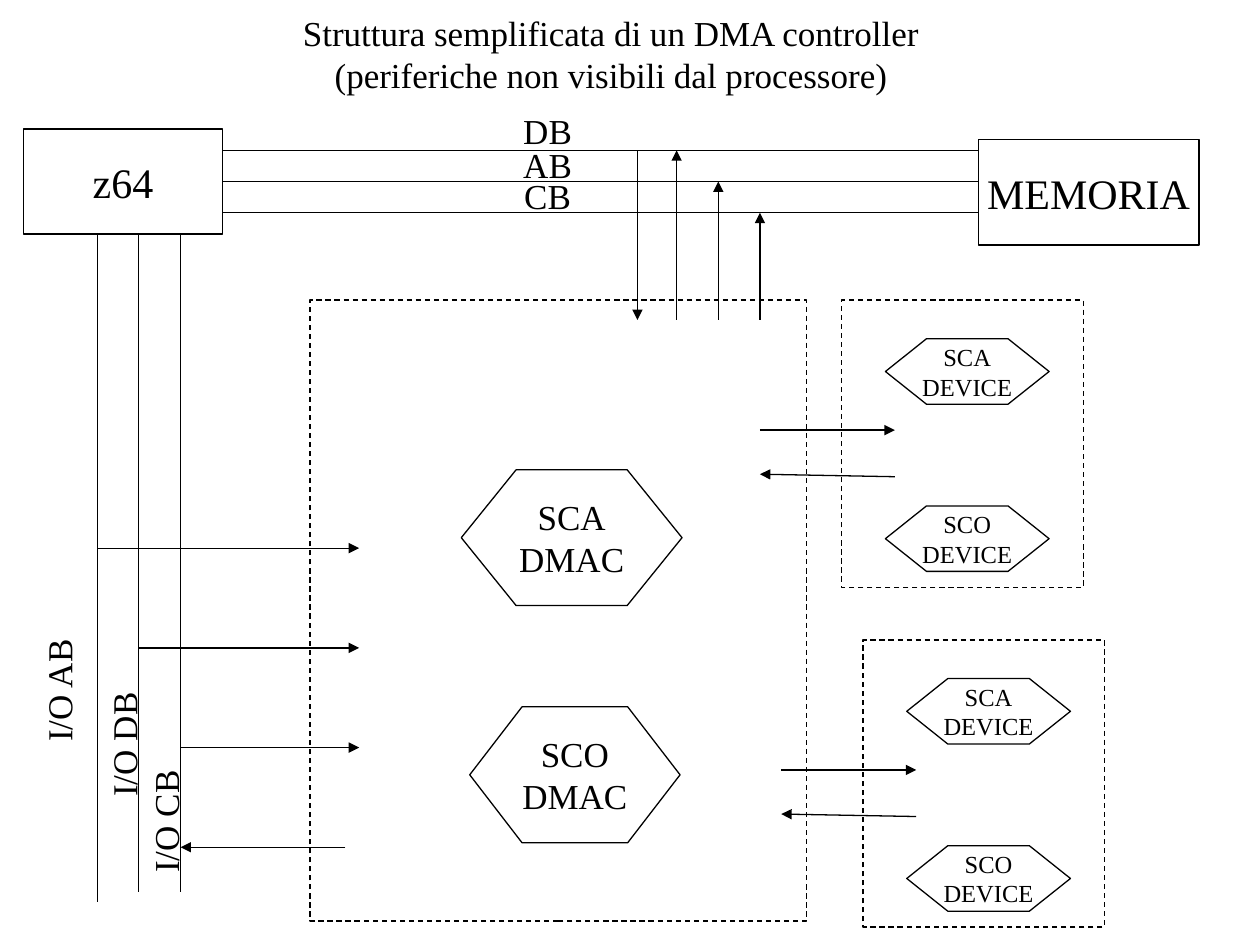
from collections import namedtuple

from lxml.etree import SubElement
from pptx import Presentation
from pptx.dml.color import RGBColor
from pptx.enum.dml import MSO_LINE
from pptx.enum.shapes import MSO_CONNECTOR, MSO_SHAPE as Kind
from pptx.enum.text import MSO_ANCHOR as Anchor, MSO_AUTO_SIZE as Auto, PP_ALIGN as Align
from pptx.oxml.ns import qn
from pptx.util import Cm, Pt

Theme = namedtuple("Theme", "ink font line large body small")
theme = Theme(RGBColor(0, 0, 0), "Times New Roman", Pt(0.75), Pt(24), Pt(20), Pt(14))

deck = Presentation()
deck.slide_width, deck.slide_height = Cm(25.4), Cm(19.05)
slide = deck.slides.add_slide(deck.slide_layouts[5])
shapes = slide.shapes


def block(kind, box, text="", size=theme.body, adj=None, dash=False):
    """Add an unfilled outlined shape, or a plain text box if kind is None."""
    box = [Cm(n) for n in box]
    if kind is None:
        shape = shapes.add_textbox(*box)
    else:
        shape = shapes.add_shape(kind, *box)
        shape.shadow.inherit = False
        shape.fill.background()
        shape.line.color.rgb = theme.ink
        shape.line.width = theme.line
        shape.text_frame.vertical_anchor = Anchor.MIDDLE
        if adj:
            shape.adjustments[0] = adj
        if dash:
            shape.line.dash_style = MSO_LINE.DASH
    if text:
        frame = shape.text_frame
        frame.word_wrap = False
        frame.text = text
        for para in frame.paragraphs:
            para.alignment = Align.CENTER
            para.font.name = theme.font
            para.font.size = size
            para.font.color.rgb = theme.ink
    return shape


def wire(x1, y1, x2, y2, arrow=True):
    line = shapes.add_connector(MSO_CONNECTOR.STRAIGHT, Cm(x1), Cm(y1), Cm(x2), Cm(y2))
    line.line.color.rgb = theme.ink
    line.line.width = theme.line
    if arrow:
        SubElement(line.line._get_or_add_ln(), qn("a:tailEnd"), type="triangle")
    SubElement(line._element.spPr, qn("a:effectLst"))
    return line


# Title
title = shapes.title
title.left, title.top, title.width, title.height = Cm(0.47), Cm(-0.5), Cm(23.7), Cm(3.17)
frame = title.text_frame
frame.auto_size = Auto.NONE
frame.vertical_anchor = Anchor.MIDDLE
para = frame.paragraphs[0]
para.text = "Struttura semplificata di un DMA controller\v(periferiche non visibili dal processore)"
para.alignment = Align.CENTER
para.font.name = theme.font
para.font.size = theme.body
para.font.color.rgb = theme.ink

# Processor, memory and the buses between them
cpu = block(Kind.RECTANGLE, (0.47, 2.6, 4.02, 2.12), "z64", theme.large)
block(Kind.RECTANGLE, (19.72, 2.82, 4.45, 2.12), "MEMORIA", theme.large)
gap = 0.84
for i, (name, top) in enumerate([("DB", 2.08), ("AB", 2.77), ("CB", 3.4)]):
    y = 3.03 + 0.63 * i
    bus = wire(4.49, y, 19.72, y, arrow=False)
    if name == "AB":
        bus.begin_connect(cpu, 3)
    block(None, (10.24, top, 1.6, 1.12), name)
    x = 13.64 + gap * i
    wire(x, 6.45, x, y)
wire(12.85, 3.05, 12.85, 6.45)

# DMA controller
block(Kind.RECTANGLE, (6.25, 6.05, 10.01, 12.52), dash=True)
block(Kind.HEXAGON, (9.3, 9.47, 4.45, 2.74), "SCA\nDMAC", adj=0.404)
block(Kind.HEXAGON, (9.47, 14.25, 4.24, 2.74), "SCO\nDMAC", adj=0.385)

# I/O buses: name, lower end, centre of the label
lanes = [("I/O AB", 18.19, 1.19, 13.92),
         ("I/O DB", 17.98, 2.5, 15.01),
         ("I/O CB", 17.98, 3.34, 16.56)]
wide, high = 2.8, 1.12
for i, (name, end, mid, centre) in enumerate(lanes):
    x, y = 1.96 + gap * i, 11.05 + 2.01 * i
    wire(x, 4.72, x, end, arrow=False)
    wire(x, y, 7.24, y)
    label = block(None, (mid - wide / 2, centre - high / 2, wide, high), name)
    label.rotation = 270
wire(6.96, 17.08, x, 17.08)

# Devices, each with a pair of arrows to and from the controller
for x, y in [(16.97, 6.05), (17.4, 12.9)]:
    block(Kind.RECTANGLE, (x, y, 4.87, 5.79), dash=True)
    for name, drop in [("SCA", 0.78), ("SCO", 4.15)]:
        block(Kind.HEXAGON, (x + 0.88, y + drop, 3.3, 1.32),
              name + "\nDEVICE", theme.small, adj=0.627)
    wire(x - 1.65, y + 2.62, x + 1.07, y + 2.62)
    wire(x + 1.07, y + 3.56, x - 1.65, y + 3.51)

deck.save("out.pptx")
